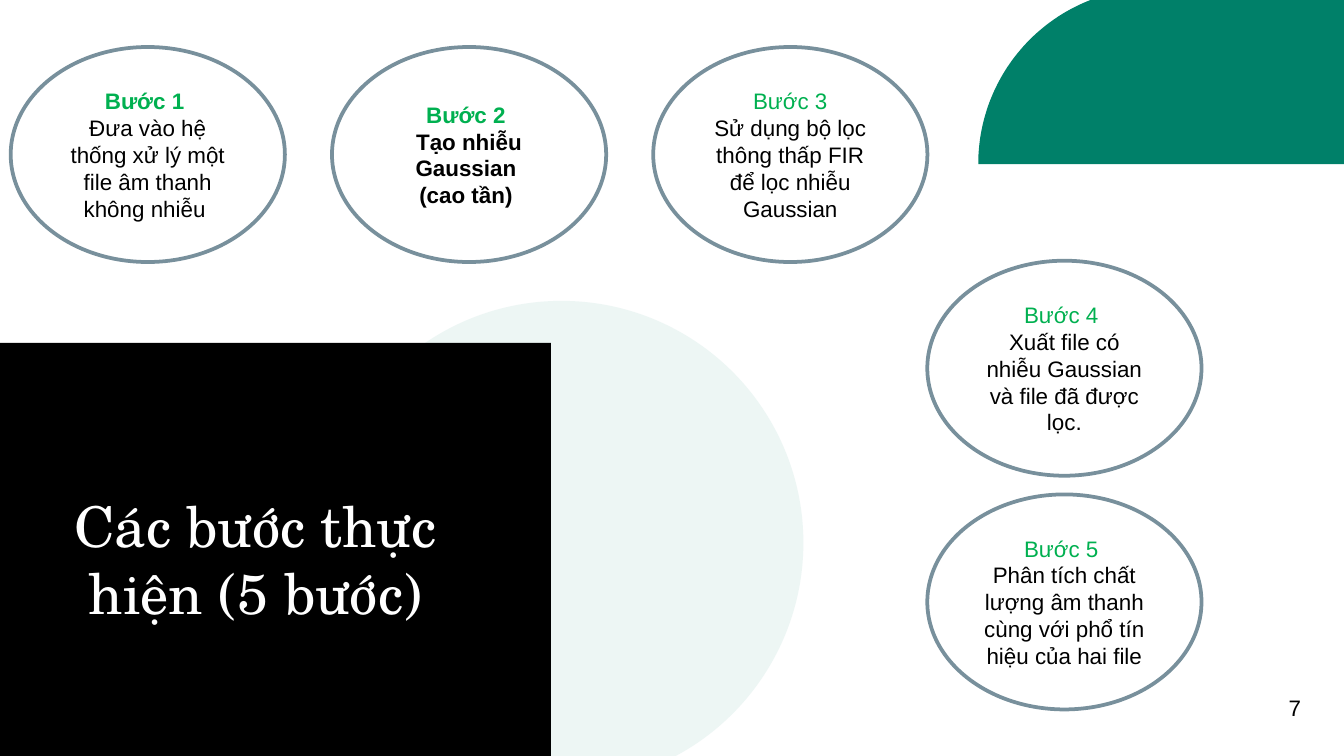
from dataclasses import dataclass
from math import cos, pi, sin

from lxml import etree
from pptx import Presentation
from pptx.dml.color import RGBColor
from pptx.enum.shapes import MSO_SHAPE
from pptx.enum.text import MSO_ANCHOR, PP_ALIGN
from pptx.oxml.ns import qn
from pptx.util import Pt

OVAL, RECT = MSO_SHAPE.OVAL, MSO_SHAPE.RECTANGLE
TOP, MIDDLE = MSO_ANCHOR.TOP, MSO_ANCHOR.MIDDLE
LEFT, CENTER = PP_ALIGN.LEFT, PP_ALIGN.CENTER

COLORS = {
    "white": "FFFFFF",
    "black": "000000",
    "mint": "CCE6E1",
    "teal": "008069",
    "outline": "78909C",
    "step": "00B050",
}
STEP_W, STEP_H = 146.9, 115.2
ROW_X, ROW_Y, ROW_PITCH = 5.76, 25.2, 172.1
COLUMN_X, COLUMN_Y, COLUMN_PITCH = 496.8, 139.7, 125.2


@dataclass
class Step:
    heading: str
    body: tuple[str, ...]
    heading_bold: bool = False
    body_bold: bool = False


ROW = [
    Step("Bước 1 ", ("Đưa vào hệ thống xử lý một file âm thanh không nhiễu ",), True),
    Step("Bước 2 ", ("Tạo nhiễu Gaussian ", "(cao tần) "), True, True),
    Step("Bước 3", ("Sử dụng bộ lọc thông thấp FIR để lọc nhiễu Gaussian",)),
]
COLUMN = [
    Step("Bước 4 ", ("Xuất file có nhiễu Gaussian và file đã được lọc.",)),
    Step("Bước 5 ", ("Phân tích chất lượng âm thanh cùng với phổ tín hiệu của hai file",)),
]


def rgb(name: str) -> RGBColor:
    return RGBColor.from_string(COLORS[name])


def paint(sp, fill: str, line: str = "", alpha: int = 100) -> None:
    sp.shadow.inherit = False
    sp.fill.solid()
    sp.fill.fore_color.rgb = rgb(fill)
    if alpha < 100:
        clr = sp.fill._xPr.find(".//" + qn("a:srgbClr"))
        etree.SubElement(clr, qn("a:alpha"), val=str(alpha * 1000))
    if line:
        sp.line.color.rgb = rgb(line)
        sp.line.width = Pt(2)
    else:
        sp.line.fill.background()


def add_shape(s, kind, x: float, y: float, w: float, h: float, fill: str, **style):
    sp = s.shapes.add_shape(kind, Pt(x), Pt(y), Pt(w), Pt(h))
    paint(sp, fill, **style)
    return sp


def write(p, text: str, *, size: float = 12, font: str = "Arial",
          color: str = "black", bold: bool = False, align=CENTER) -> None:
    p.alignment = align
    r = p.add_run()
    r.text = text
    r.font.size = Pt(size)
    r.font.name = font
    r.font.bold = bold
    r.font.color.rgb = rgb(color)


def add_text(s, x: float, y: float, w: float, h: float, text: str,
             anchor=TOP, inset: float = 7.2, **style) -> None:
    tf = s.shapes.add_textbox(Pt(x), Pt(y), Pt(w), Pt(h)).text_frame
    tf.word_wrap = True
    tf.vertical_anchor = anchor
    tf.margin_top = tf.margin_bottom = Pt(inset)
    write(tf.paragraphs[0], text, **style)


def add_step(s, step: Step, x: float, y: float) -> None:
    sp = add_shape(s, OVAL, x, y, STEP_W, STEP_H, "white", line="outline")
    tf = sp.text_frame
    tf.word_wrap = True
    tf.vertical_anchor = MIDDLE
    write(tf.paragraphs[0], step.heading, color="step", bold=step.heading_bold)
    for text in step.body:
        write(tf.add_paragraph(), text, bold=step.body_bold)


def add_corner(s, cx: float, cy: float, radius: float, right: float) -> None:
    angles = [i * pi / 120 for i in range(61)]
    arc = [(cx - radius * cos(a), cy - radius * sin(a)) for a in angles]
    points = arc + [(right, cy - radius), (right, cy)]
    fb = s.shapes.build_freeform(*(Pt(v) for v in points[0]), scale=1.0)
    fb.add_line_segments([(Pt(x), Pt(y)) for x, y in points[1:]], close=True)
    paint(fb.convert_to_shape(), "teal")


def main() -> None:
    """Build the slide of the five processing steps."""
    prs = Presentation()
    prs.slide_width, prs.slide_height = Pt(720), Pt(405)
    s = prs.slides.add_slide(prs.slide_layouts[6])
    add_shape(s, OVAL, 171.2, 161.2, 259.2, 259.2, "mint", alpha=35)
    add_shape(s, RECT, -5, 183.7, 300.2, 225.4, "black")
    add_corner(s, 618.4, 87.9, 94.3, 725.8)
    add_text(s, 5.76, 254.9, 262.1, 88.6, "Các bước thực hiện (5 bước)",
             anchor=MIDDLE, size=30.1, font="TeX Gyre Schola", color="white")
    for i, step in enumerate(ROW):
        add_step(s, step, ROW_X + i * ROW_PITCH, ROW_Y)
    for i, step in enumerate(COLUMN):
        add_step(s, step, COLUMN_X, COLUMN_Y + i * COLUMN_PITCH)
    add_text(s, 683.3, 368.6, 23.8, 36, "7", inset=3.6, align=LEFT)
    prs.save("out.pptx")


if __name__ == "__main__":
    main()
